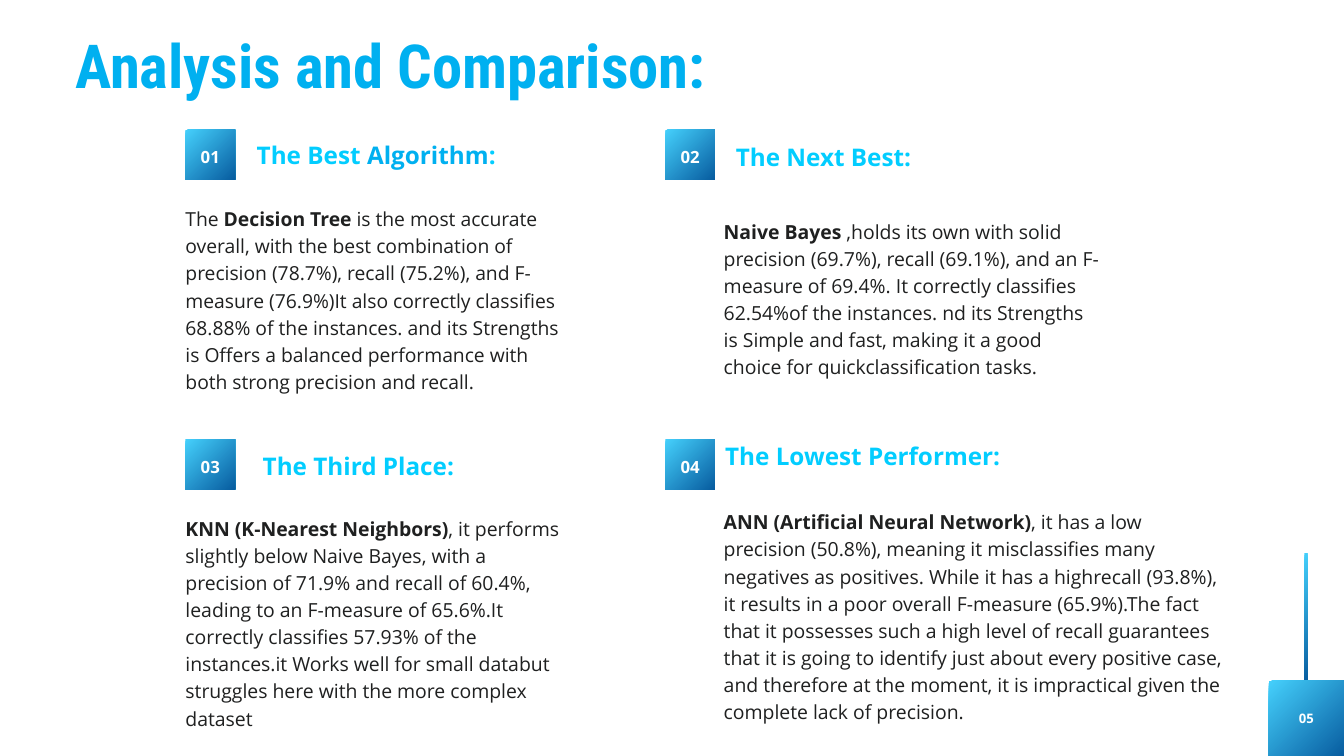
"""Build the slide that compares four classification algorithms."""

from dataclasses import dataclass

import pptx
import pptx.dml.color
import pptx.enum.shapes
import pptx.enum.text
import pptx.util

COLUMNS, ROWS = 20, 11.25
SLIDE_WIDTH, SLIDE_HEIGHT = pptx.util.Inches(20), pptx.util.Inches(11.25)
BODY_FONT, TITLE_FONT = "Open Sans", "Roboto Condensed"
WHITE, INK, BLUE, CYAN = "FFFFFF", "1F2020", "00B0F0", "02CDFF"
GRADIENT = ("45D0FC", "085DA0")
BADGE_SIZE = 0.74
BADGE_COLUMNS, BADGE_ROWS = (2.76, 9.9), (1.93, 6.54)


@dataclass(frozen=True)
class Box:
    """A place on the slide in grid columns and rows."""

    column: float
    row: float
    width: float
    height: float


@dataclass(frozen=True)
class Piece:
    """A stretch of text with one colour and weight."""

    text: str
    color: str
    bold: bool = True


@dataclass(frozen=True)
class Style:
    """The font, size and line pitch of a paragraph."""

    size: float
    pitch: float
    font: str = BODY_FONT
    centered: bool = False


@dataclass(frozen=True)
class Section:
    """A numbered heading with its description."""

    heading: tuple[Piece, ...]
    heading_box: Box
    body: tuple[Piece, ...]
    body_box: Box
    body_size: float = 20.8


TITLE = Style(65, 71.5, TITLE_FONT)
HEADING = Style(26, 36.4)
BADGE = Style(18, 25.2, centered=True)
PAGE = Style(14, 19.6, centered=True)

SECTIONS = (
    Section(
        (Piece("The Best ", CYAN), Piece("Algorithm", BLUE), Piece(":", CYAN)),
        Box(3.82, 2.02, 3.95, 0.49),
        (
            Piece("The ", INK, False),
            Piece("Decision Tree", INK),
            Piece(
                " is the most accurate overall, with the best combination of precision (78.7%), "
                "recall (75.2%), and F-measure (76.9%)It also correctly classifies 68.88% of the "
                "instances. and its Strengths is Offers a balanced performance with both strong "
                "precision and recall.", INK, False),
        ),
        Box(2.76, 3.03, 5.59, 2.75),
        20.7,
    ),
    Section(
        (Piece("The Next Best:", CYAN),),
        Box(10.95, 2.05, 3.95, 0.49),
        (
            Piece("Naive Bayes", INK),
            Piece(
                " ,holds its own with solid precision (69.7%), recall (69.1%), and an F-measure "
                "of 69.4%. It correctly classifies 62.54%of the instances. nd its Strengths is "
                "Simple and fast, making it a good choice for quickclassification tasks.",
                INK, False),
        ),
        Box(10.77, 3.22, 5.59, 2.36),
    ),
    Section(
        (Piece("The Third Place:", CYAN),),
        Box(3.91, 6.64, 3.86, 0.49),
        (
            Piece("KNN (K-Nearest Neighbors)", INK),
            Piece(
                ", it performs slightly below Naive Bayes, with a precision of 71.9% and recall "
                "of 60.4%, leading to an F-measure of 65.6%.It correctly classifies 57.93% of the "
                "instances.it Works well for small databut struggles here with the more complex "
                "dataset", INK, False),
        ),
        Box(2.76, 7.64, 5.59, 3.15),
    ),
    Section(
        (Piece("The Lowest Performer:", CYAN),),
        Box(10.79, 6.49, 4.48, 0.49),
        (
            Piece("ANN (Artificial Neural Network)", INK),
            Piece(
                ", it has a low precision (50.8%), meaning it misclassifies many negatives as "
                "positives. While it has a highrecall (93.8%), it results in a poor overall "
                "F-measure (65.9%).The fact that it possesses such a high level of recall "
                "guarantees that it is going to identify just about every positive case, and "
                "therefore at the moment, it is impractical given the complete lack of precision.",
                INK, False),
        ),
        Box(10.77, 7.54, 7.46, 3.15),
    ),
)


def rgb(color: str) -> pptx.dml.color.RGBColor:
    """Turn a hex string into a colour."""
    return pptx.dml.color.RGBColor.from_string(color)


def place(box: Box) -> tuple[int, int, int, int]:
    """Turn grid units into slide lengths."""
    return (
        round(SLIDE_WIDTH * box.column / COLUMNS),
        round(SLIDE_HEIGHT * box.row / ROWS),
        round(SLIDE_WIDTH * box.width / COLUMNS),
        round(SLIDE_HEIGHT * box.height / ROWS),
    )


def write(shape, pieces: tuple[Piece, ...], style: Style) -> None:
    """Fill a shape with one formatted paragraph."""
    frame = shape.text_frame
    frame.word_wrap = True
    frame.auto_size = pptx.enum.text.MSO_AUTO_SIZE.NONE
    frame.vertical_anchor = pptx.enum.text.MSO_ANCHOR.TOP
    frame.margin_left = frame.margin_right = frame.margin_top = frame.margin_bottom = 0
    paragraph = frame.paragraphs[0]
    alignment = pptx.enum.text.PP_ALIGN
    paragraph.alignment = alignment.CENTER if style.centered else alignment.LEFT
    paragraph.line_spacing = pptx.util.Pt(style.pitch)
    for piece in pieces:
        run = paragraph.add_run()
        run.text = piece.text
        run.font.name = style.font
        run.font.size = pptx.util.Pt(style.size)
        run.font.bold = piece.bold
        run.font.color.rgb = rgb(piece.color)


def add_text(slide, box: Box, pieces: tuple[Piece, ...], style: Style) -> None:
    """Add a text box."""
    write(slide.shapes.add_textbox(*place(box)), pieces, style)


def add_gradient_block(slide, box: Box) -> None:
    """Add a rectangle shaded from its top left to its bottom right."""
    shape = slide.shapes.add_shape(pptx.enum.shapes.MSO_SHAPE.RECTANGLE, *place(box))
    shape.shadow.inherit = False
    shape.line.fill.background()
    shape.fill.gradient()
    shape.fill.gradient_angle = 315
    for stop, color, position in zip(shape.fill.gradient_stops, GRADIENT, (0, 1)):
        stop.color.rgb = rgb(color)
        stop.position = position


def add_section(slide, index: int, section: Section) -> None:
    """Add a numbered badge, its heading and its description."""
    column, row = BADGE_COLUMNS[index % 2], BADGE_ROWS[index // 2]
    add_gradient_block(slide, Box(column, row, BADGE_SIZE, BADGE_SIZE))
    label = Box(column + 0.1, row + 0.21, BADGE_SIZE - 0.2, 0.33)
    add_text(slide, label, (Piece(f"{index + 1:02}", WHITE),), BADGE)
    add_text(slide, section.heading_box, section.heading, HEADING)
    add_text(slide, section.body_box, section.body, Style(section.body_size, 29))


def main() -> None:
    """Build and save the presentation."""
    presentation = pptx.Presentation()
    presentation.slide_width, presentation.slide_height = SLIDE_WIDTH, SLIDE_HEIGHT
    slide = presentation.slides.add_slide(presentation.slide_layouts.get_by_name("Title Only"))
    title = slide.shapes.title
    title.left, title.top, title.width, title.height = place(Box(1.12, 0.5, 11.61, 1.01))
    write(title, (Piece("Analysis and Comparison:", BLUE),), TITLE)
    add_gradient_block(slide, Box(19.41, 8.23, 0.05, 1.9))
    add_gradient_block(slide, Box(18.88, 10.13, 1.12, 1.12))
    add_text(slide, Box(19.14, 10.54, 0.6, 0.27), (Piece("05", WHITE),), PAGE)
    for index, section in enumerate(SECTIONS):
        add_section(slide, index, section)
    presentation.save("out.pptx")


if __name__ == "__main__":
    main()
